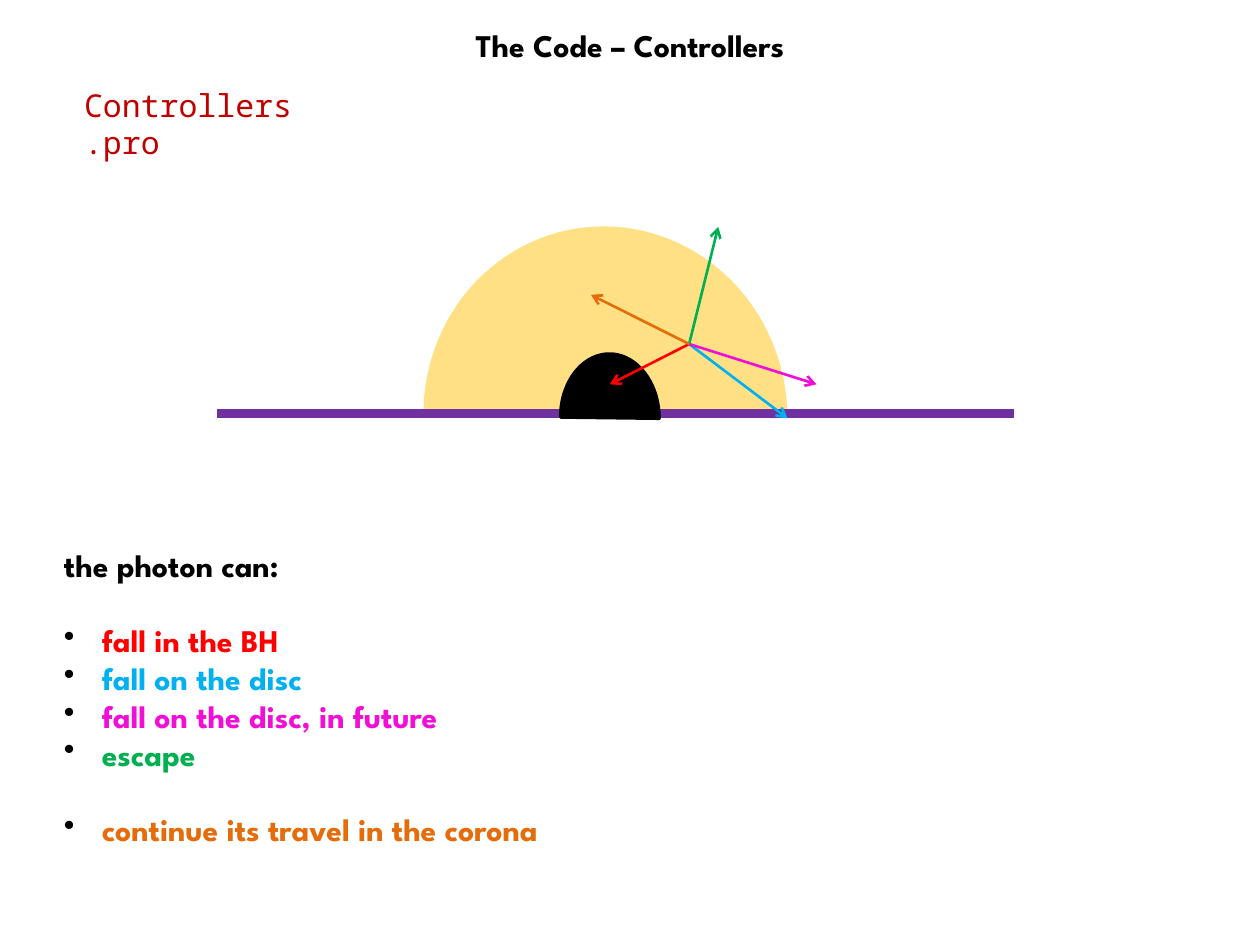
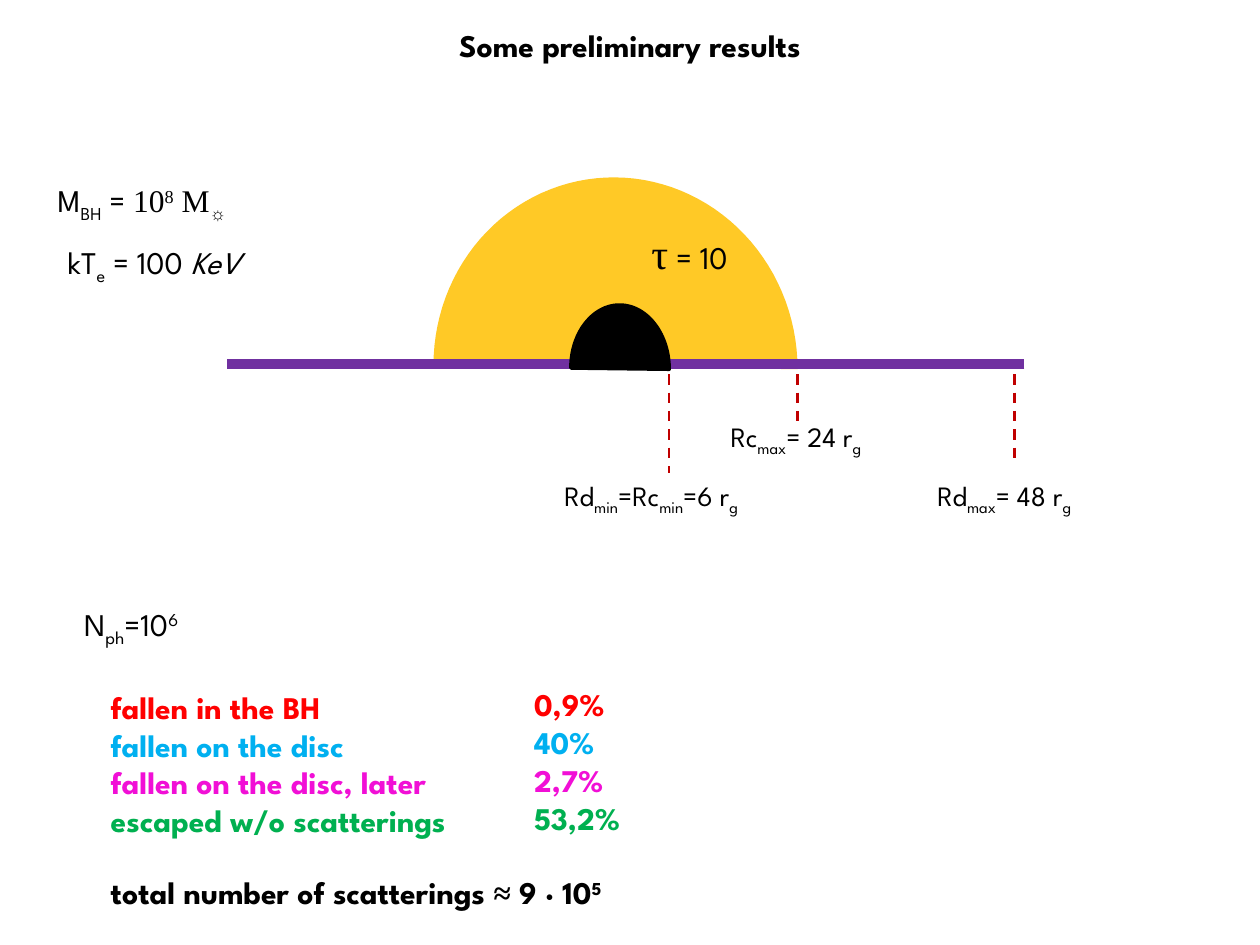
import math

import pptx
import pptx.dml.color
import pptx.enum.dml
import pptx.enum.shapes
import pptx.enum.text
import pptx.oxml
import pptx.oxml.ns
import pptx.util

Pt = pptx.util.Pt
RGB = pptx.dml.color.RGBColor
ALIGN = pptx.enum.text.PP_ALIGN

BLACK = RGB(0x00, 0x00, 0x00)
GOLD = RGB(0xFF, 0xC0, 0x00)
PURPLE = RGB(0x70, 0x30, 0xA0)
DARK_RED = RGB(0xC0, 0x00, 0x00)
RED = RGB(0xFF, 0x00, 0x00)
SKY = RGB(0x00, 0xB0, 0xF0)
MAGENTA = RGB(0xF1, 0x0F, 0xD6)
GREEN = RGB(0x00, 0xB0, 0x50)
ORANGE = RGB(0xE4, 0x6C, 0x0A)

SPARTAN, MONO, TIMES = "League Spartan", "Noto Sans Mono", "Times New Roman"
SUB = {"baseline": -25}
SUP = {"baseline": 30}
SERIF = {"font": TIMES}

# Lengths are points.
LINE_HEIGHT = 21.6
LIST_INDENT = 21.6

# Black hole, corona and disc: left, right, top, base at left, base at right
CORONA = (241.9, 450, 129.4, 236.9, 239)
HOLE = (320.4, 376.6, 202.3, 238.3, 239)
DISC_LEFT, DISC_RIGHT, DISC_Y = 123.8, 579.6, 236.2

# Slide 1
PHOTON = (393.8, 196.6)
PHOTON_FATES = [  # label, colour, arrow end, space before
    ("fall in the BH", RED, (348.5, 219.6), LINE_HEIGHT),
    ("fall on the disc", SKY, (450, 239), 0),
    ("fall on the disc, in future", MAGENTA, (466.6, 219.6), 0),
    ("escape", GREEN, (410.4, 129.6), 0),
    ("continue its travel in the corona", ORANGE, (337.7, 168.5), LINE_HEIGHT),
]

# Slide 2
RESULTS_SHIFT = (5.8, -28)
RADIUS_TOP = 213.8
RADII = [  # marker x, marker bottom, label box, label runs
    (382.3, 270, (315.4, 270, 152),
     ["Rd", ("min", SUB), "=Rc", ("min", SUB), "=6 r", ("g", SUB)]),
    (455.8, 241.9, (410.4, 236.2, 106.6),
     ["Rc", ("max", SUB), "= 24 r", ("g", SUB)]),
    (579.6, 264.2, (528.5, 270, 106.6),
     ["Rd", ("max", SUB), "= 48 r", ("g", SUB)]),
]
PARAMETERS = [  # box, runs
    ((25.9, 100.1, 130),
     ["M", ("BH", SUB), " = ", ("10", SERIF), ("8", SERIF | SUP),
      (" M", SERIF), ("☼", SERIF | SUB)]),
    ((365.2, 126.7, 75), [("τ", SERIF | {"size": 24}), " = 10"]),
    ((41, 342, 77.8), ["N", ("ph", SUB), "=10", ("6", SUP)]),
    ((31.7, 135.4, 130),
     ["kT", ("e", SUB), " = 100 ", ("KeV", {"italic": True})]),
]
PHOTON_SHARES = [
    ("fallen in the BH", "0,9%", RED),
    ("fallen on the disc", "40%", SKY),
    ("fallen on the disc, later", "2,7%", MAGENTA),
    ("escaped w/o scatterings", "53,2%", GREEN),
]
SHARE_COLUMNS = [(56.2, 389.5, 247.7), (298.1, 388.1, 230.4)]
SCATTERINGS = ["total number of scatterings ", ("≈", SERIF), " 9 · 10", ("5", SUP)]


def add_runs(paragraph, runs, **defaults):
    """Each run is a text, or a text with the style that differs from defaults."""
    for run_text in runs:
        text, changes = run_text if isinstance(run_text, tuple) else (run_text, {})
        style = {"font": SPARTAN, "size": 18, "color": BLACK, "bold": False,
                 "italic": False, "baseline": 0} | defaults | changes
        run = paragraph.add_run()
        run.text = text
        run.font.name = style["font"]
        run.font.size = Pt(style["size"])
        run.font.bold = style["bold"]
        run.font.italic = style["italic"]
        run.font.color.rgb = style["color"]
        if style["baseline"]:
            run.font._element.set("baseline", str(style["baseline"] * 1000))


def add_text(slide, box, lines, **defaults):
    """Put lines, each a list of runs, in a box (left, top, width)."""
    left, top, width = box
    height = LINE_HEIGHT * len(lines) + 7.2
    frame = slide.shapes.add_textbox(Pt(left), Pt(top), Pt(width), Pt(height)).text_frame
    frame.word_wrap = True
    for index, runs in enumerate(lines):
        paragraph = frame.add_paragraph() if index else frame.paragraphs[0]
        add_runs(paragraph, runs, **defaults)
    return frame


def add_line(slide, start, end, color, width=1.5, arrow=False, dashed=False):
    line = slide.shapes.add_connector(
        pptx.enum.shapes.MSO_CONNECTOR.STRAIGHT, *(Pt(v) for v in (*start, *end)))
    line.line.color.rgb = color
    line.line.width = Pt(width)
    if dashed:
        line.line.dash_style = pptx.enum.dml.MSO_LINE.DASH
    properties = line._element.spPr
    if arrow:
        tail = pptx.oxml.parse_xml(
            f'<a:tailEnd {pptx.oxml.ns.nsdecls("a")} type="arrow"/>')
        properties.find(pptx.oxml.ns.qn("a:ln")).append(tail)
    properties.append(pptx.oxml.parse_xml(
        f'<a:effectLst {pptx.oxml.ns.nsdecls("a")}/>'))


def add_dome(slide, outline, shift, color, opacity=100, steps=60):
    """Draw the upper half of an ellipse on a slightly sloping base."""
    left, right, top, base_left, base_right = outline
    radius = (right - left) / 2
    height = (base_left + base_right) / 2 - top
    points = []
    for step in range(steps + 1):
        angle = math.pi * step / steps
        across = (1 - math.cos(angle)) / 2
        base = base_left + (base_right - base_left) * across
        points.append((Pt(left + 2 * radius * across + shift[0]),
                       Pt(base - height * math.sin(angle) + shift[1])))
    builder = slide.shapes.build_freeform(*points[0], scale=1.0)
    builder.add_line_segments(points[1:], close=True)
    dome = builder.convert_to_shape()
    dome.shadow.inherit = False
    dome.fill.solid()
    dome.fill.fore_color.rgb = color
    dome.line.fill.background()
    if opacity < 100:
        dome._element.spPr.find(".//" + pptx.oxml.ns.qn("a:srgbClr")).append(
            pptx.oxml.parse_xml(
                f'<a:alpha {pptx.oxml.ns.nsdecls("a")} val="{opacity * 1000}"/>'))
    return dome


def add_black_hole(slide, corona_opacity, shift=(0, 0)):
    dx, dy = shift
    add_dome(slide, CORONA, shift, GOLD, corona_opacity)
    add_line(slide, (DISC_RIGHT + dx, DISC_Y + dy), (DISC_LEFT + dx, DISC_Y + dy),
             PURPLE, 5.5)
    hole = add_dome(slide, HOLE, shift, BLACK)
    hole.line.color.rgb = BLACK
    hole.line.width = Pt(2)


def add_titled_slide(deck, heading):
    slide = deck.slides.add_slide(deck.slide_layouts[5])
    title = slide.shapes.title
    title.left, title.top, title.width, title.height = Pt(0), Pt(11.5), Pt(720), Pt(28.8)
    title.text_frame.auto_size = pptx.enum.text.MSO_AUTO_SIZE.NONE
    title.text_frame.vertical_anchor = pptx.enum.text.MSO_ANCHOR.TOP
    paragraph = title.text_frame.paragraphs[0]
    paragraph.alignment = ALIGN.CENTER
    add_runs(paragraph, [heading], bold=True)
    return slide


def add_bullet(paragraph):
    properties = paragraph._p.get_or_add_pPr()
    properties.set("marL", str(Pt(LIST_INDENT)))
    properties.set("indent", str(-Pt(LIST_INDENT)))
    ns = pptx.oxml.ns.nsdecls("a")
    properties.append(pptx.oxml.parse_xml(
        f'<a:buClr {ns}><a:srgbClr val="{BLACK}"/></a:buClr>'))
    properties.append(pptx.oxml.parse_xml(f'<a:buChar {ns} char="•"/>'))


def add_controllers(deck):
    slide = add_titled_slide(deck, "The Code – Controllers")
    add_text(slide, (41, 45.4, 141.8), [["Controllers.pro"]], font=MONO, color=DARK_RED)
    add_black_hole(slide, 48)
    fates = add_text(slide, (29.5, 308.2, 313.9), [["the photon can:"]], bold=True)
    for label, color, end, gap in PHOTON_FATES:
        add_line(slide, PHOTON, end, color, arrow=True)
        paragraph = fates.add_paragraph()
        add_bullet(paragraph)
        paragraph.space_before = Pt(gap)
        add_runs(paragraph, [label], bold=True, color=color)


def add_results(deck):
    slide = add_titled_slide(deck, "Some preliminary results")
    add_black_hole(slide, 85, RESULTS_SHIFT)
    for x, bottom, box, runs in RADII:
        add_line(slide, (x, RADIUS_TOP), (x, bottom), DARK_RED, dashed=True)
        add_text(slide, box, [runs], size=16)
    for box, runs in PARAMETERS:
        add_text(slide, box, [runs])
    for column, box in enumerate(SHARE_COLUMNS):
        lines = [[(row[column], {"color": row[2]})] for row in PHOTON_SHARES]
        add_text(slide, box, lines, bold=True)
    add_text(slide, (56.2, 495.4, 371.5), [SCATTERINGS], bold=True)


def main():
    deck = pptx.Presentation()
    deck.slide_width, deck.slide_height = Pt(720), Pt(540)
    add_controllers(deck)
    add_results(deck)
    deck.save("out.pptx")


if __name__ == "__main__":
    main()
